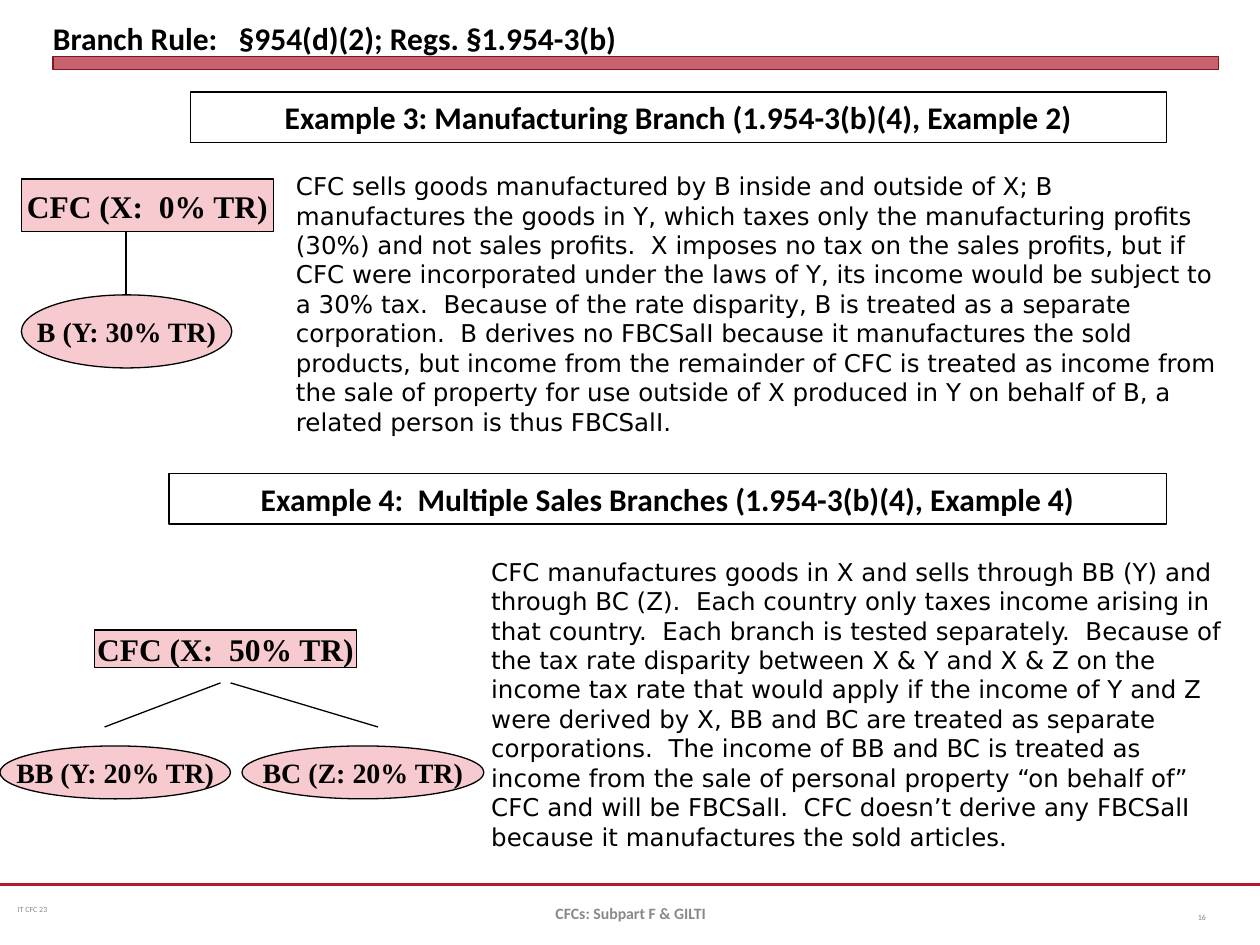
from lxml.etree import SubElement
from pptx import Presentation
from pptx.dml.color import RGBColor
from pptx.enum.shapes import MSO_CONNECTOR, MSO_SHAPE
from pptx.enum.text import MSO_ANCHOR as Anchor, PP_ALIGN as Align
from pptx.oxml.ns import qn
from pptx.util import Inches, Pt

BLACK = RGBColor(0x00, 0x00, 0x00)
RED = RGBColor(0xB0, 0x1C, 0x2E)
DARK_RED = RGBColor(0x82, 0x15, 0x22)
PINK = RGBColor(0xF7, 0xCA, 0xD0)
GRAY = RGBColor(0x89, 0x89, 0x89)
PAGE_GRAY = RGBColor(0x80, 0x80, 0x80)

SANS, BODY, SERIF = "Calibri", "DejaVu Sans", "Times New Roman"

EXAMPLE_3 = (
    "CFC sells goods manufactured by B inside and outside of X; B manufactures "
    "the goods in Y, which taxes only the manufacturing profits (30%) and not "
    "sales profits.  X imposes no tax on the sales profits, but if CFC were "
    "incorporated under the laws of Y, its income would be subject to a 30% tax.  "
    "Because of the rate disparity, B is treated as a separate corporation.  "
    "B derives no FBCSalI because it manufactures the sold products, but income "
    "from the remainder of CFC is treated as income from the sale of property for "
    "use outside of X produced in Y on behalf of B, a related person is thus FBCSalI."
)
EXAMPLE_4 = (
    "CFC manufactures goods in X and sells through BB (Y) and through BC (Z).  "
    "Each country only taxes income arising in that country.  Each branch is "
    "tested separately.  Because of the tax rate disparity between X & Y and "
    "X & Z on the income tax rate that would apply if the income of Y and Z were "
    "derived by X, BB and BC are treated as separate corporations.  The income of "
    "BB and BC is treated as income from the sale of personal property “on behalf "
    "of” CFC and will be FBCSalI.  CFC doesn’t derive any FBCSalI because it "
    "manufactures the sold articles."
)


def inches(values):
    return [Inches(value) for value in values]


def write(shape, text, font, size, color=BLACK, bold=False,
          align=Align.LEFT, anchor=Anchor.MIDDLE, wrap=True):
    frame = shape.text_frame
    frame.word_wrap = wrap
    frame.vertical_anchor = anchor
    frame.text = text
    para = frame.paragraphs[0]
    para.alignment = align
    para.font.name = font
    para.font.size = Pt(size)
    para.font.bold = bold
    para.font.color.rgb = color


def set_insets(shape, side, top):
    frame = shape.text_frame
    frame.margin_left = frame.margin_right = Inches(side)
    frame.margin_top = frame.margin_bottom = Inches(top)


def add_text(page, bounds, text, font, size, **style):
    box = page.shapes.add_textbox(*inches(bounds))
    write(box, text, font, size, **style)
    return box


def add_outlined(page, kind, bounds, fill=None, line=BLACK, width=0.75):
    shape = page.shapes.add_shape(kind, *inches(bounds))
    shape.shadow.inherit = False
    if fill is None:
        shape.fill.background()
    else:
        shape.fill.solid()
        shape.fill.fore_color.rgb = fill
    shape.line.color.rgb = line
    shape.line.width = Pt(width)
    return shape


def add_entity(page, kind, bounds, text, size):
    shape = add_outlined(page, kind, bounds, PINK)
    write(shape, text, SERIF, size, bold=True, align=Align.CENTER, wrap=False)


def add_heading(page, bounds, text):
    shape = add_outlined(page, MSO_SHAPE.RECTANGLE, bounds)
    write(shape, text, SANS, 18, bold=True, align=Align.CENTER)


def add_line(page, start, end, color=BLACK, width=0.75):
    line = page.shapes.add_connector(MSO_CONNECTOR.STRAIGHT, *inches(start + end))
    line.line.color.rgb = color
    line.line.width = Pt(width)
    SubElement(line._element.spPr, qn("a:effectLst"))


def add_title(page, text):
    bar = add_outlined(page, MSO_SHAPE.RECTANGLE, (0.42, 0.45, 9.25, 0.1),
                       RED, DARK_RED, 0)
    color = bar._element.spPr.find(qn("a:solidFill"))[0]
    SubElement(color, qn("a:alpha"), val="69000")
    title = page.shapes.title
    title.left, title.top, title.width, title.height = inches((0.42, 0.05, 9.25, 0.4))
    write(title, text, SANS, 18, bold=True, anchor=Anchor.BOTTOM)
    set_insets(title, 0, 0)


def add_footer(page):
    add_line(page, (0, 7.02), (10, 7.02), RED, 1.25)
    code = add_text(page, (0.08, 7.02, 2.58, 0.4), "IT CFC 23", SANS, 4.5, color=GRAY)
    set_insets(code, 0.06, 0.03)
    add_text(page, (9.17, 7.08, 0.5, 0.4), "16", SANS, 4.5,
             color=PAGE_GRAY, align=Align.RIGHT)
    add_text(page, (3.42, 7.05, 3.17, 0.4), "CFCs: Subpart F & GILTI", SANS, 9,
             color=GRAY, bold=True, align=Align.CENTER)


def add_manufacturing_example(page):
    add_heading(page, (1.51, 0.73, 7.75, 0.4),
                "Example 3: Manufacturing Branch (1.954-3(b)(4), Example 2)")
    add_entity(page, MSO_SHAPE.RECTANGLE, (0.17, 1.42, 2, 0.42), "CFC (X:  0% TR)", 18)
    add_entity(page, MSO_SHAPE.OVAL, (0.17, 2.34, 1.67, 0.58), "B (Y: 30% TR)", 16)
    add_line(page, (1, 1.84), (1, 2.34))
    add_text(page, (2.25, 1.31, 7.58, 2.52), EXAMPLE_3, BODY, 14, anchor=Anchor.TOP)


def add_sales_example(page):
    add_heading(page, (1.34, 3.76, 7.92, 0.4),
                "Example 4:  Multiple Sales Branches (1.954-3(b)(4), Example 4)")
    add_entity(page, MSO_SHAPE.RECTANGLE, (0.75, 5, 2.08, 0.3), "CFC (X:  50% TR)", 18)
    add_entity(page, MSO_SHAPE.OVAL, (0, 5.92, 1.83, 0.42), "BB (Y: 20% TR)", 16)
    add_entity(page, MSO_SHAPE.OVAL, (1.92, 5.92, 1.92, 0.42), "BC (Z: 20% TR)", 16)
    add_line(page, (1.75, 5.42), (0.83, 5.77))
    add_line(page, (1.83, 5.42), (3, 5.77))
    add_text(page, (3.8, 4.37, 6.08, 2.46), EXAMPLE_4, BODY, 14, anchor=Anchor.TOP)


def main():
    deck = Presentation()
    deck.slide_width, deck.slide_height = inches((10, 7.5))
    page = deck.slides.add_slide(deck.slide_layouts[5])
    add_title(page, "Branch Rule:   §954(d)(2); Regs. §1.954-3(b)")
    add_manufacturing_example(page)
    add_sales_example(page)
    add_footer(page)
    deck.save("out.pptx")


if __name__ == "__main__":
    main()
